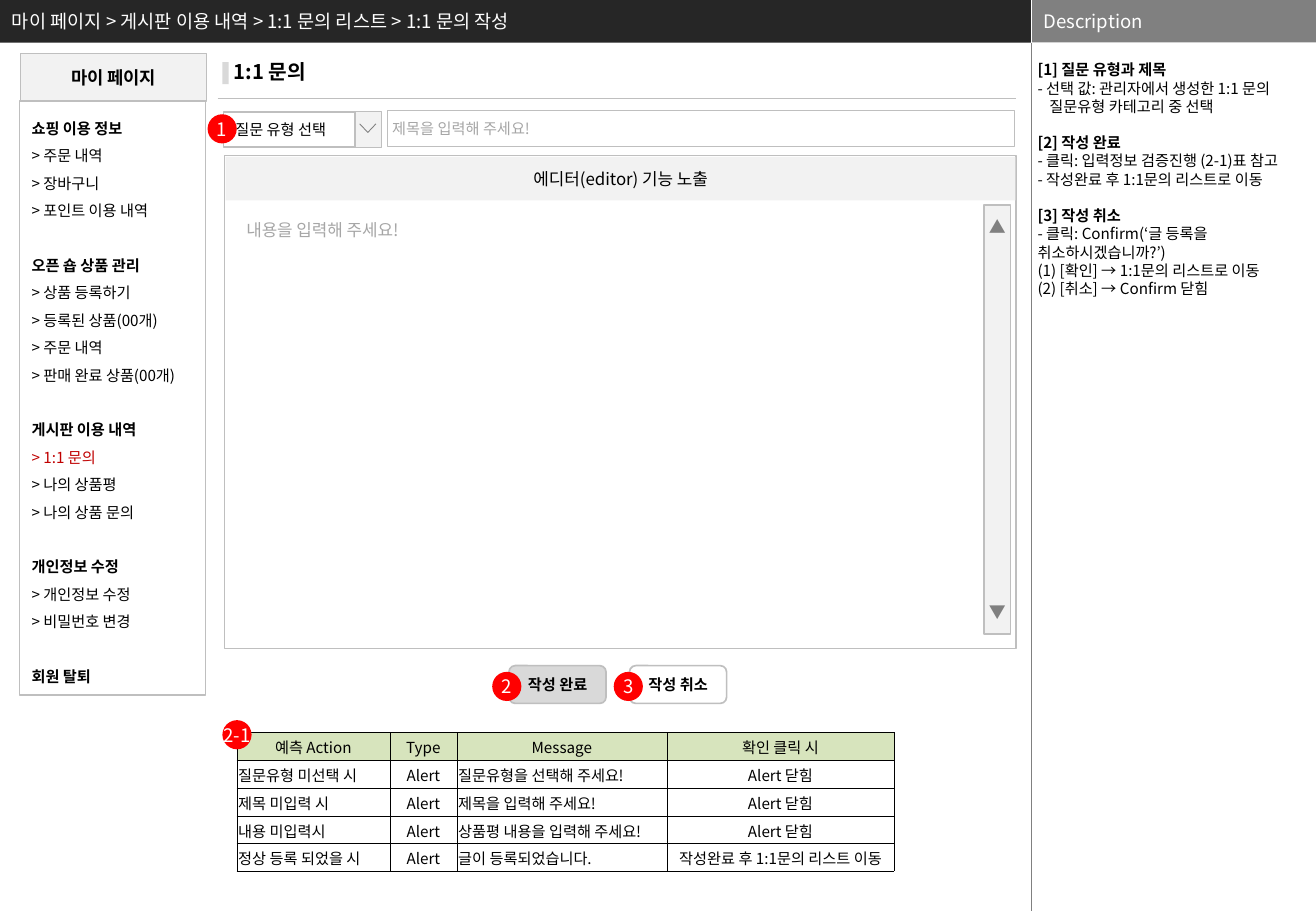
from dataclasses import dataclass

from lxml import etree
from pptx import Presentation
from pptx import util as u
from pptx.dml.color import RGBColor
from pptx.enum import shapes, text
from pptx.oxml import ns

Kind = shapes.MSO_SHAPE
Align = text.PP_ALIGN
Mid = text.MSO_ANCHOR.MIDDLE
Top = text.MSO_ANCHOR.TOP


@dataclass(frozen=True)
class Theme:
    """Colours, type sizes and font of the slide."""
    font: str = "Noto Sans CJK KR"
    ink: str = "000000"
    white: str = "FFFFFF"
    dark: str = "262626"
    grey: str = "808080"
    edge: str = "BFBFBF"
    press: str = "D9D9D9"
    pale: str = "F2F2F2"
    hint: str = "A6A6A6"
    red: str = "FF0000"
    here: str = "C00000"
    green: str = "D7E4BD"
    small: float = 9
    base: float = 10
    side: float = 10.5
    bar: float = 11
    head: float = 12


class Page:
    """Draws styled elements on the current slide."""

    def __init__(self, deck, theme):
        """Adds a title-only slide."""
        self.theme = theme
        self.slide = deck.slides.add_slide(deck.slide_layouts[5])
        self.items = self.slide.shapes

    def paint(self, fill, color):
        """Sets a solid fill, or none."""
        if color:
            fill.solid()
            fill.fore_color.rgb = RGBColor.from_string(color)
        else:
            fill.background()

    def style(self, para, size, color=None, bold=False, align=Align.LEFT):
        """Formats one paragraph and its runs."""
        para.alignment = align
        for run in para.runs:
            font = run.font
            font.name, font.size, font.bold = self.theme.font, u.Pt(size), bold
            font.color.rgb = RGBColor.from_string(color or self.theme.ink)
            face = etree.SubElement(font._element, ns.qn("a:ea"))
            face.set("typeface", self.theme.font)

    def frame(self, shape, pad=0.25, anchor=Mid, wrap=True):
        """Sets the insets, anchor and wrapping of a shape's text."""
        frame = shape.text_frame
        frame.margin_left = frame.margin_right = u.Cm(pad)
        frame.margin_top = frame.margin_bottom = 0
        frame.vertical_anchor, frame.word_wrap = anchor, wrap
        return frame

    def label(self, shape, words, size, color=None, bold=False,
              align=Align.LEFT, pad=0.25, wrap=True):
        """Writes one line into a shape."""
        frame = self.frame(shape, pad, wrap=wrap)
        frame.text = words
        self.style(frame.paragraphs[0], size, color, bold, align)

    def box(self, x, y, w, h, fill=None, line=None, width=0.75,
            kind=Kind.RECTANGLE):
        """Adds a preset shape."""
        shape = self.items.add_shape(kind, *map(u.Cm, (x, y, w, h)))
        shape.shadow.inherit = False
        self.paint(shape.fill, fill)
        self.paint(shape.line.fill, line)
        if line:
            shape.line.width = u.Pt(width)
        return shape

    def note(self, x, y, w, h):
        """Adds an empty text box."""
        return self.items.add_textbox(*map(u.Cm, (x, y, w, h)))

    def title(self, words, x, y, w, h):
        """Places the title as the dark top bar."""
        shape = self.items.title
        shape.left, shape.top, shape.width, shape.height = map(u.Cm, (x, y, w, h))
        self.paint(shape.fill, self.theme.dark)
        self.label(shape, words, self.theme.bar, self.theme.white)

    def rule(self, x, y, right, end, color, width):
        """Adds a straight line."""
        line = self.items.add_connector(
            shapes.MSO_CONNECTOR.STRAIGHT, *map(u.Cm, (x, y, right, end)))
        self.paint(line.line.fill, color)
        line.line.width = u.Pt(width)
        etree.SubElement(line._element.spPr, ns.qn("a:effectLst"))

    def chevron(self, x, y, w, h):
        """Adds the open arrow of a drop-down."""
        pen = self.items.build_freeform(u.Cm(x), u.Cm(y))
        pen.add_line_segments([(u.Cm(x + w / 2), u.Cm(y + h)),
                               (u.Cm(x + w), u.Cm(y))], close=False)
        shape = pen.convert_to_shape()
        shape.shadow.inherit = False
        self.paint(shape.fill, None)
        self.paint(shape.line.fill, self.theme.grey)
        shape.line.width = u.Pt(0.5)

    def groups(self, frame, groups, lead, marks=(), inner=()):
        """Writes bold heads with their lines, a gap before each later head."""
        rows = [(row, i == 0, n > 0 and i == 0)
                for n, group in enumerate(groups) for i, row in enumerate(group)]
        frame.text = "\n".join(row for row, _, _ in rows)
        for para, (row, bold, gap) in zip(frame.paragraphs, rows):
            color = self.theme.here if row in marks else None
            self.style(para, self.theme.small, color, bold)
            para.line_spacing = u.Pt(lead)
            if gap:
                para.space_before = u.Pt(lead)
            if row in inner:
                para._p.get_or_add_pPr().set("marL", str(u.Cm(0.25)))

    def badge(self, words, x, y):
        """Adds a red number mark."""
        shape = self.box(x, y, 0.61, 0.61, self.theme.red, kind=Kind.OVAL)
        self.label(shape, words, self.theme.bar, self.theme.white,
                   align=Align.CENTER, pad=0, wrap=False)

    def border(self, cell):
        """Draws thin lines around a cell."""
        props = cell._tc.get_or_add_tcPr()
        for n, side in enumerate(("lnL", "lnR", "lnT", "lnB")):
            line = etree.Element(ns.qn("a:" + side), w=str(u.Pt(0.25)))
            fill = etree.SubElement(line, ns.qn("a:solidFill"))
            etree.SubElement(fill, ns.qn("a:srgbClr"), val=self.theme.ink)
            props.insert(n, line)

    def table(self, x, y, cols, high, rows):
        """Adds a bordered table with a green head row."""
        grid = self.items.add_table(len(rows), len(cols), u.Cm(x), u.Cm(y),
                                    u.Cm(sum(cols)), u.Cm(high * len(rows))).table
        for col, wide in zip(grid.columns, cols):
            col.width = u.Cm(wide)
        for r, row in enumerate(rows):
            grid.rows[r].height = u.Cm(high)
            for c, words in enumerate(row):
                cell = grid.cell(r, c)
                cell.text = words
                cell.vertical_anchor = Mid
                cell.margin_left = cell.margin_right = cell.margin_top = u.Cm(0.03)
                cell.margin_bottom = 0
                left = r > 0 and c in (0, 2)
                self.style(cell.text_frame.paragraphs[0], self.theme.small,
                           align=Align.LEFT if left else Align.CENTER)
                self.paint(cell.fill, None if r else self.theme.green)
                self.border(cell)


MENU = [
    ["쇼핑 이용 정보", "> 주문 내역", "> 장바구니", "> 포인트 이용 내역"],
    ["오픈 숍 상품 관리", "> 상품 등록하기", "> 등록된 상품(00개)", "> 주문 내역",
     "> 판매 완료 상품(00개)"],
    ["게시판 이용 내역", "> 1:1 문의", "> 나의 상품평", "> 나의 상품 문의"],
    ["개인정보 수정", "> 개인정보 수정", "> 비밀번호 변경"],
    ["회원 탈퇴"]]
NOTES = [
    ["[1] 질문 유형과 제목", "- 선택 값: 관리자에서 생성한 1:1 문의",
     "질문유형 카테고리 중 선택"],
    ["[2] 작성 완료", "- 클릭: 입력정보 검증진행 (2-1)표 참고",
     "- 작성완료 후 1:1문의 리스트로 이동"],
    ["[3] 작성 취소", "- 클릭: Confirm(‘글 등록을 취소하시겠습니까?’)",
     "(1) [확인] → 1:1문의 리스트로 이동", "(2) [취소] → Confirm 닫힘"]]
CHECKS = [
    ["예측 Action", "Type", "Message", "확인 클릭 시"],
    ["질문유형 미선택 시", "Alert", "질문유형을 선택해 주세요!", "Alert 닫힘"],
    ["제목 미입력 시", "Alert", "제목을 입력해 주세요!", "Alert 닫힘"],
    ["내용 미입력시", "Alert", "상품평 내용을 입력해 주세요!", "Alert 닫힘"],
    ["정상 등록 되었을 시", "Alert", "글이 등록되었습니다.",
     "작성완료 후 1:1문의 리스트 이동"]]


def main():
    """Builds and saves the inquiry form slide."""
    deck = Presentation()
    deck.slide_width, deck.slide_height = u.Cm(27.51), u.Cm(19.05)
    t = Theme()
    page = Page(deck, t)
    mid = Align.CENTER

    page.title("마이 페이지 > 게시판 이용 내역 > 1:1 문의 리스트 > 1:1 문의 작성",
               0, 0, 21.56, 0.89)
    page.label(page.box(21.56, 0, 5.95, 0.89, t.grey), "Description", t.bar, t.white)
    page.rule(21.56, 0, 21.56, 0.89, t.white, 0.25)
    page.rule(21.56, 0.89, 21.56, 19.05, t.grey, 0.25)
    notes = page.frame(page.note(21.59, 1.27, 5.92, 17.78), 0.1, Top)
    page.groups(notes, NOTES, 10.8, inner=("질문유형 카테고리 중 선택",))

    page.label(page.box(0.43, 1.12, 3.89, 0.99, t.pale, t.edge, 1),
               "마이 페이지", t.side, bold=True, align=mid)
    menu = page.frame(page.box(0.41, 2.11, 3.89, 12.42, None, t.edge, 1))
    menu.margin_right = 0
    page.groups(menu, MENU, 16.25, marks=("> 1:1 문의",))

    page.label(page.note(4.64, 1.12, 7, 0.76), "1:1 문의", t.head, bold=True)
    page.box(4.65, 1.3, 0.13, 0.46, t.press)
    page.rule(4.55, 2.06, 21.23, 2.06, t.edge, 0.75)
    page.label(page.box(4.67, 2.34, 3.28, 0.74, t.white, t.edge, 1),
               "질문 유형 선택", t.small)
    page.box(7.42, 2.34, 0.55, 0.74, t.pale, t.edge)
    page.chevron(7.52, 2.59, 0.34, 0.18)
    page.label(page.box(8.1, 2.31, 13.11, 0.76, None, t.edge),
               "제목을 입력해 주세요!", t.small, t.hint, pad=0.1)

    page.box(4.7, 3.25, 16.54, 10.31, None, t.edge)
    page.label(page.box(4.72, 3.28, 16.51, 0.91, t.pale),
               "에디터(editor) 기능 노출", t.base, align=mid)
    page.label(page.note(4.9, 4.47, 4.06, 0.69), "내용을 입력해 주세요!", t.base, t.hint)
    scroll = page.frame(page.box(20.57, 4.29, 0.56, 8.97, t.pale, t.edge), 0)
    scroll.text = "▲\n▼"
    for para in scroll.paragraphs:
        page.style(para, t.base, t.grey, align=mid)
        para.line_spacing = u.Pt(12)
    scroll.paragraphs[1].space_before = u.Pt(216)

    for x, words, fill in ((10.64, "작성 완료", t.press), (13.16, "작성 취소", t.white)):
        key = page.box(x, 13.92, 2.03, 0.79, fill, t.edge, 1, Kind.ROUNDED_RECTANGLE)
        page.label(key, words, t.small, bold=True, align=mid)
    page.table(4.95, 15.32, (3.2, 1.4, 4.39, 4.75), 0.58, CHECKS)
    for words, x, y in (("1", 4.34, 2.39), ("2", 10.29, 14.05),
                        ("3", 12.83, 14.05), ("2-1", 4.65, 15.06)):
        page.badge(words, x, y)
    deck.save("out.pptx")


if __name__ == "__main__":
    main()
